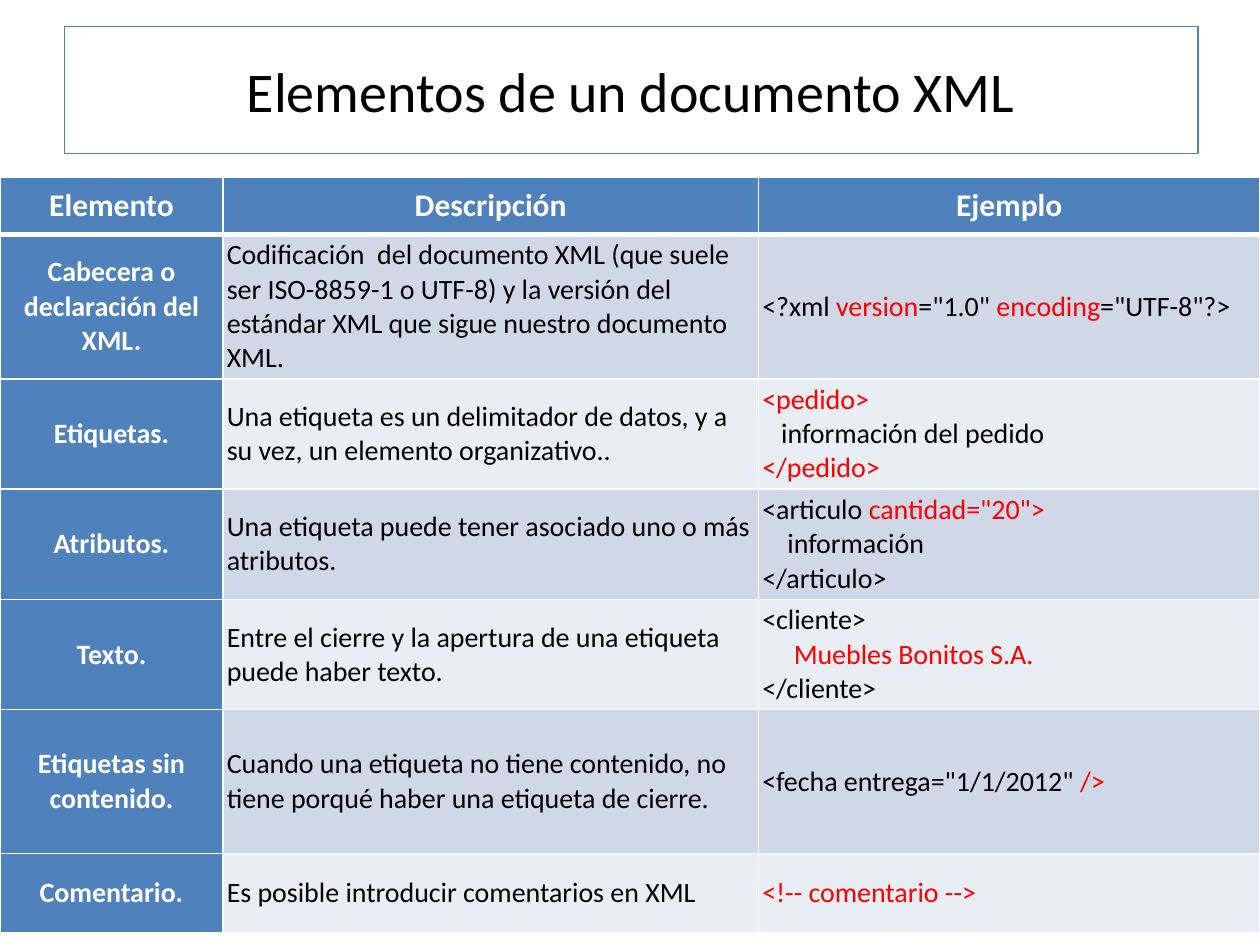
from lxml import etree
from pptx import Presentation
from pptx.dml.color import RGBColor
from pptx.enum import shapes, text
from pptx.oxml import ns
from pptx.util import Inches, Pt

BLUE = RGBColor(0x4F, 0x81, 0xBD)
BAND_DARK = RGBColor(0xD0, 0xD8, 0xE8)
BAND_LIGHT = RGBColor(0xE9, 0xED, 0xF4)
WHITE = RGBColor(0xFF, 0xFF, 0xFF)
BLACK = RGBColor(0, 0, 0)
RED = RGBColor(0xFF, 0, 0)

LEFT, CENTER = text.PP_ALIGN.LEFT, text.PP_ALIGN.CENTER


def write(frame, content, size=16, color=BLACK, bold=False, align=LEFT, indent=0):
    """Each "|" in a line switches between color and red; indent applies to inner lines."""
    lines = content.split("\n")
    for index, line in enumerate(lines):
        paragraph = frame.paragraphs[0] if index == 0 else frame.add_paragraph()
        paragraph.alignment = align
        if indent and 0 < index < len(lines) - 1:
            paragraph._p.get_or_add_pPr().set("marL", str(Inches(indent)))
        for part, words in enumerate(line.split("|")):
            if words:
                run = paragraph.add_run()
                run.text = words
                run.font.name = "Calibri"
                run.font.size = Pt(size)
                run.font.bold = bold
                run.font.color.rgb = RED if part % 2 else color


def set_borders(cell, bottom_width):
    properties = cell._tc.get_or_add_tcPr()
    widths = {"lnL": 1, "lnR": 1, "lnT": 1, "lnB": bottom_width}
    for position, (side, width) in enumerate(widths.items()):
        line = etree.Element(ns.qn(f"a:{side}"), w=str(Pt(width)))
        fill = etree.SubElement(line, ns.qn("a:solidFill"))
        etree.SubElement(fill, ns.qn("a:srgbClr"), val=str(WHITE))
        properties.insert(position, line)


presentation = Presentation()
presentation.slide_width = Inches(10)
presentation.slide_height = Inches(7.5)
slide = presentation.slides.add_slide(presentation.slide_layouts[6])

title = slide.shapes.add_shape(
    shapes.MSO_SHAPE.RECTANGLE, Inches(0.51), Inches(0.21), Inches(9), Inches(1.01)
)
title.shadow.inherit = False
title.fill.background()
title.line.color.rgb = BLUE
title.line.width = Pt(0.75)
title.text_frame.vertical_anchor = text.MSO_ANCHOR.MIDDLE
write(title.text_frame, "Elementos de un documento XML", size=32, align=CENTER)

# Element, description, example, indent of the example's inner line
elements = [
    ("Elemento", "Descripción", "Ejemplo", 0),
    ("Cabecera o declaración del XML.",
     "Codificación  del documento XML (que suele ser ISO-8859-1 o UTF-8) y la versión "
     "del estándar XML que sigue nuestro documento XML.",
     '<?xml |version|="1.0" |encoding|="UTF-8"?>', 0),
    ("Etiquetas.",
     "Una etiqueta es un delimitador de datos, y a su vez, un elemento organizativo..",
     "|<pedido>\ninformación del pedido\n|</pedido>", 0.15),
    ("Atributos.",
     "Una etiqueta puede tener asociado uno o más atributos.",
     '<articulo |cantidad="20">\ninformación\n</articulo>', 0.2),
    ("Texto.",
     "Entre el cierre y la apertura de una etiqueta puede haber texto.",
     "<cliente>\n|Muebles Bonitos S.A.\n</cliente>", 0.25),
    ("Etiquetas sin contenido.",
     "Cuando una etiqueta no tiene contenido, no tiene porqué haber una etiqueta de cierre.",
     '<fecha entrega="1/1/2012" |/>', 0),
    ("Comentario.",
     "Es posible introducir comentarios en XML",
     "|<!-- comentario -->", 0),
]
column_widths = [1.77, 4.25, 3.98]
row_heights = [0.45, 1.14, 0.87, 0.87, 0.87, 1.14, 0.63]

table = slide.shapes.add_table(
    len(row_heights), len(column_widths),
    Inches(0), Inches(1.41), Inches(sum(column_widths)), Inches(sum(row_heights)),
).table
for column, width in zip(table.columns, column_widths):
    column.width = Inches(width)
for row, height in zip(table.rows, row_heights):
    row.height = Inches(height)

for row_index, (*contents, indent) in enumerate(elements):
    for column_index, content in enumerate(contents):
        cell = table.cell(row_index, column_index)
        cell.margin_left = cell.margin_right = Inches(0.03)
        cell.margin_top = cell.margin_bottom = Inches(0.03)
        cell.vertical_anchor = text.MSO_ANCHOR.MIDDLE
        is_header = row_index == 0
        cell.fill.solid()
        if is_header or column_index == 0:
            cell.fill.fore_color.rgb = BLUE
            write(cell.text_frame, content, size=18 if is_header else 16,
                  color=WHITE, bold=True, align=CENTER)
        else:
            cell.fill.fore_color.rgb = BAND_DARK if row_index % 2 else BAND_LIGHT
            write(cell.text_frame, content, indent=indent if column_index == 2 else 0)
        set_borders(cell, 3 if is_header else 1)

presentation.save("out.pptx")
